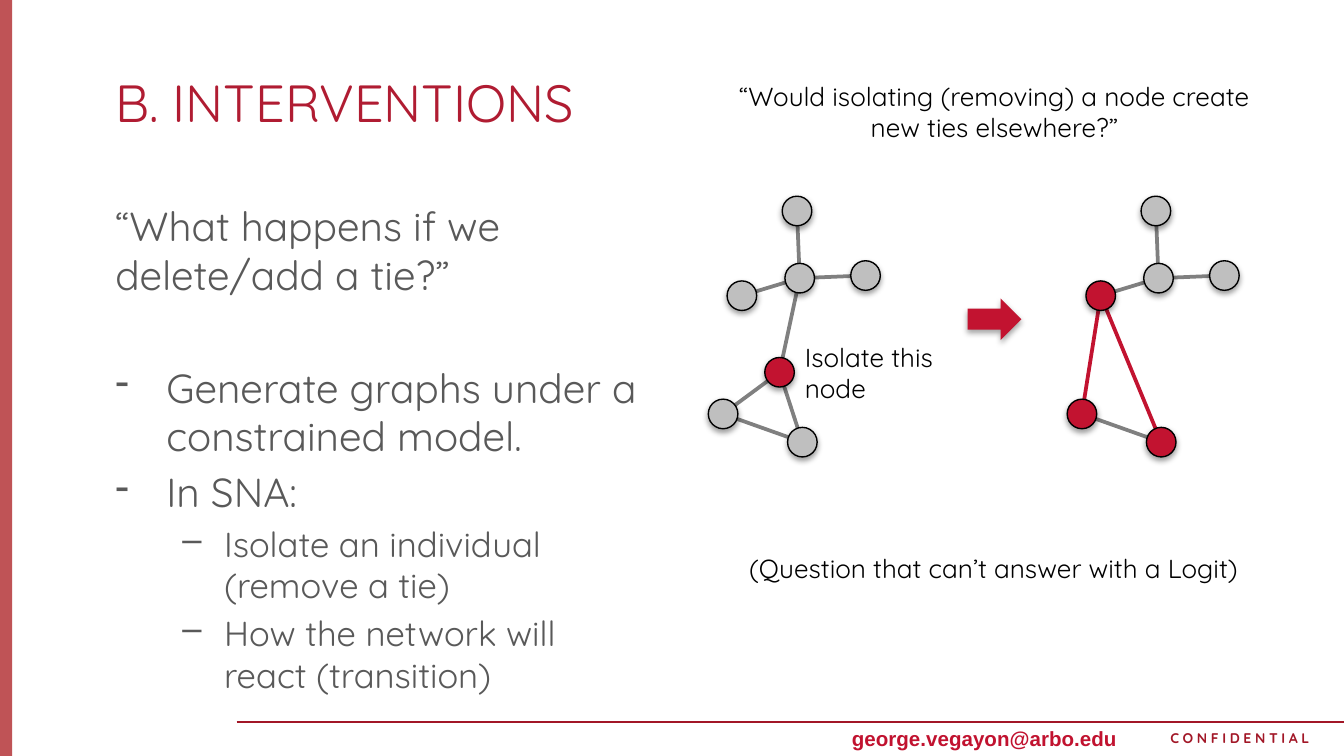
from lxml import etree
from pptx import Presentation, util as u
from pptx.dml.color import RGBColor
from pptx.enum import shapes, text
from pptx.oxml import ns

RED, CRIMSON, GREY = "C21330", "A21727", "BFBFBF"
color = RGBColor.from_string


def add_line(container, start, end, line_color, width):
    points = [u.Inches(value) for value in (*start, *end)]
    line = container.add_connector(shapes.MSO_CONNECTOR.STRAIGHT, *points)
    line.line.color.rgb = color(line_color)
    line.line.width = u.Pt(width)
    etree.SubElement(line._element.spPr, ns.qn("a:effectLst"))


def add_shape(container, kind, box, fill, opacity=100, outline=None, shadow=None):
    """Add a filled shape; shadow is (opacity in percent, distance in points)."""
    shape = container.add_shape(kind, *[u.Inches(value) for value in box])
    shape.fill.solid()
    shape.fill.fore_color.rgb = color(fill)
    if opacity < 100:
        srgb = shape._element.spPr.find(".//" + ns.qn("a:srgbClr"))
        etree.SubElement(srgb, ns.qn("a:alpha"), val=str(opacity * 1000))
    if outline:
        shape.line.color.rgb = color(outline)
        shape.line.width = u.Pt(0.75)
    else:
        shape.line.fill.background()
    shape.shadow.inherit = False
    if shadow:
        effects = shape._element.spPr.find(ns.qn("a:effectLst"))
        outer = etree.SubElement(
            effects, ns.qn("a:outerShdw"), blurRad=str(u.Pt(3.1)),
            dist=str(u.Pt(shadow[1])), dir="5400000", rotWithShape="0")
        black = etree.SubElement(outer, ns.qn("a:srgbClr"), val="000000")
        etree.SubElement(black, ns.qn("a:alpha"), val=str(shadow[0] * 1000))


presentation = Presentation()
presentation.slide_width = u.Inches(10)
presentation.slide_height = u.Inches(10 * 9 / 16)
slide = presentation.slides.add_slide(presentation.slide_layouts[6])

# Side bar and footer rule
add_shape(slide.shapes, shapes.MSO_SHAPE.RECTANGLE, (0, 0, 0.09, 5.67), "AF282C", opacity=80)
add_line(slide.shapes, (1.76, 5.37), (10.46, 5.37), CRIMSON, 1)

# Networks: the right one is the left one without its isolated node
nodes = {
    "left": (5.38, 3.08), "bottom": (5.97, 3.29), "isolated": (5.8, 2.77),
    "west": (5.52, 2.2), "hub": (5.95, 2.07), "north": (5.93, 1.57), "east": (6.44, 2.05),
}
shared_ties = [("west", "hub"), ("left", "bottom"), ("hub", "east"), ("hub", "north")]
lost_ties = [(end, "isolated") for end in ("bottom", "hub", "left")]
new_ties = [("west", "bottom"), ("west", "left")]
networks = [
    (slide.shapes.add_group_shape().shapes, 0, nodes, {"isolated"},
     [(tie, "808080") for tie in shared_ties + lost_ties]),
    (slide.shapes, 2.67, [name for name in nodes if name != "isolated"],
     {"left", "bottom", "west"},
     [(tie, RED) for tie in new_ties] + [(tie, "808080") for tie in shared_ties]),
]
diameter = 0.22
for container, offset, names, highlighted, ties in networks:
    for tie, tie_color in ties:
        start, end = [(nodes[name][0] + offset, nodes[name][1]) for name in tie]
        add_line(container, start, end, tie_color, 2)
    for name in names:
        x, y = nodes[name]
        box = (x + offset - diameter / 2, y - diameter / 2, diameter, diameter)
        add_shape(container, shapes.MSO_SHAPE.OVAL, box, RED if name in highlighted else GREY,
                  outline="000000", shadow=(38, 1.6))

add_shape(slide.shapes, shapes.MSO_SHAPE.RIGHT_ARROW, (7.2, 2.22, 0.4, 0.31), RED,
          shadow=(35, 1.8))

# Text boxes: box, wrap, alignment, text colour, font format, lines
left, center = text.PP_ALIGN.LEFT, text.PP_ALIGN.CENTER
label = {"name": "Quicksand", "size": u.Pt(14)}
text_boxes = [
    ((0.76, 0.47, 8.74, 0.45), True, left, "B01C32",
     {"name": "Quicksand", "size": u.Pt(28)}, ["B. INTERVENTIONS"]),
    ((5.89, 2.49, 1.17, 0.57), False, left, "000000", label, ["Isolate this", "node"]),
    ((5.33, 0.55, 4.14, 0.57), True, center, "000000", label,
     ["“Would isolating (removing) a node create new ties elsewhere?”"]),
    ((5.23, 4.06, 4.33, 0.34), True, center, "000000", label,
     ["(Question that can’t answer with a Logit)"]),
    ((6.24, 5.35, 2.18, 0.29), False, left, "C1122F",
     {"name": "Arial", "size": u.Pt(11), "bold": True}, ["george.vegayon@arbo.edu"]),
    ((8.61, 5.38, 2.44, 0.23), True, left, CRIMSON,
     {"name": "Quicksand", "size": u.Pt(7.5), "bold": True}, ["CONFIDENTIAL"]),
]
for box, wrap, alignment, text_color, font_format, lines in text_boxes:
    frame = slide.shapes.add_textbox(*[u.Inches(value) for value in box]).text_frame
    frame.word_wrap = wrap
    frame.text = "\n".join(lines)
    for paragraph in frame.paragraphs:
        paragraph.alignment = alignment
        font = paragraph.runs[0].font
        font.color.rgb = color(text_color)
        for attribute, value in font_format.items():
            setattr(font, attribute, value)
        if paragraph.text == "CONFIDENTIAL":
            font._element.set("spc", "190")

# Body: text, size, space before, left margin, hanging indent, bullet
body_lines = [
    ("“What happens if we delete/add a tie?”", 21.7, 0, 0, 0, None),
    ("Generate graphs under a constrained model.", 21.7, 34.3, 0.38, 0.38, "-"),
    ("In SNA:", 21.7, 4, 0.38, 0.38, "-"),
    ("Isolate an individual (remove a tie)", 18.6, 3.4, 0.81, 0.31, "–"),
    ("How the network will react (transition)", 18.6, 3.4, 0.81, 0.31, "–"),
]
body_box = [u.Inches(value) for value in (0.76, 1.45, 4.14, 3.66)]
frame = slide.shapes.add_textbox(*body_box).text_frame
frame.word_wrap = True
frame.text = "\n".join(line[0] for line in body_lines)
for paragraph, (_, size, space, margin, hanging, bullet) in zip(frame.paragraphs, body_lines):
    paragraph.space_before = u.Pt(space)
    font = paragraph.runs[0].font
    font.name, font.size = "Quicksand", u.Pt(size)
    font.color.rgb = color("595959")
    if bullet:
        properties = paragraph._p.get_or_add_pPr()
        properties.set("marL", str(u.Inches(margin)))
        properties.set("indent", str(-u.Inches(hanging)))
        paragraph.level = 1 if bullet == "–" else 0
        etree.SubElement(properties, ns.qn("a:buChar"), char=bullet)

presentation.save("out.pptx")
